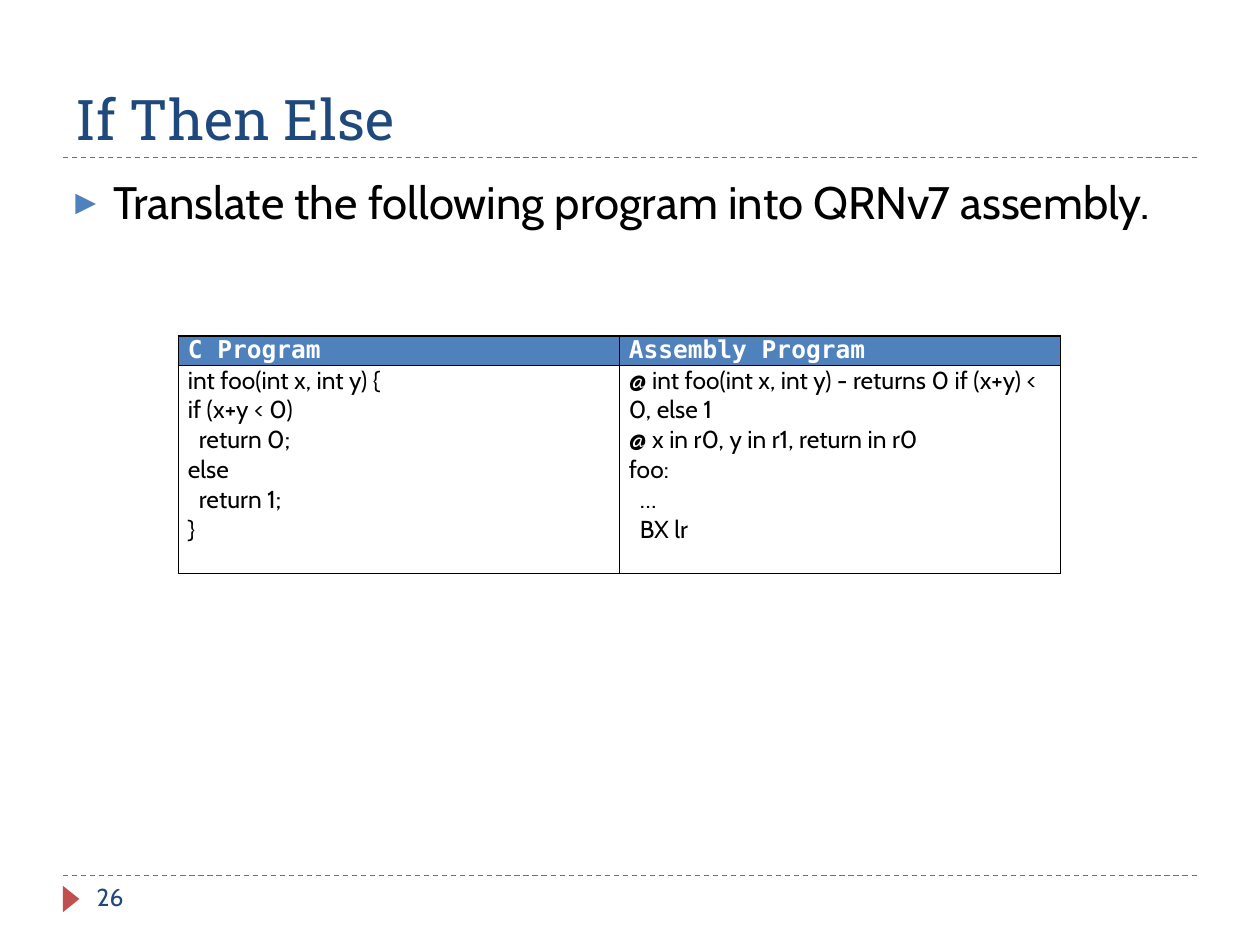
from lxml.etree import SubElement
from pptx import Presentation
from pptx.dml.color import RGBColor
from pptx.enum.dml import MSO_LINE
from pptx.enum.shapes import MSO_CONNECTOR, MSO_SHAPE
from pptx.enum.text import MSO_ANCHOR, PP_ALIGN
from pptx.oxml.ns import qn
from pptx.util import Pt

NAVY = RGBColor(0x1F, 0x49, 0x7D)
BLUE = RGBColor(0x4F, 0x81, 0xBD)
RED = RGBColor(0xC0, 0x50, 0x4D)
BLACK = RGBColor(0, 0, 0)
WHITE = RGBColor(255, 255, 255)

MARGIN, CONTENT_WIDTH = 36, 648
CODE_INDENT = 6.3

TITLE_FONT = {"name": "Roboto Slab", "size": Pt(32)}
BODY_FONT = {"name": "Cabin", "size": Pt(26)}
NUMBER_FONT = {"name": "Cabin", "size": Pt(14)}
HEADER_FONT = {"name": "DejaVu Sans Mono", "size": Pt(14), "bold": True}
CODE_FONT = {"name": "Cabin", "size": Pt(14), "bold": False}

# Each code line is (indent level, text)
PROGRAMS = {
    "C Program": [
        (0, "int foo(int x, int y) {"),
        (0, "if (x+y < 0)"),
        (1, "return 0;"),
        (0, "else"),
        (1, "return 1;"),
        (0, "}"),
    ],
    "Assembly Program": [
        (0, "@ int foo(int x, int y) - returns 0 if (x+y) < 0, else 1"),
        (0, "@ x in r0, y in r1, return in r0"),
        (0, "foo:"),
        (1, "…"),
        (1, "BX lr"),
    ],
}


def write(paragraph, text, font_format, color):
    run = paragraph.add_run()
    run.text = text
    for attribute, value in font_format.items():
        setattr(run.font, attribute, value)
    run.font.color.rgb = color


def add_text(slide, box, text, font_format, color, anchor=MSO_ANCHOR.TOP):
    frame = slide.shapes.add_textbox(*map(Pt, box)).text_frame
    frame.word_wrap = True
    frame.vertical_anchor = anchor
    write(frame.paragraphs[0], text, font_format, color)
    return frame.paragraphs[0]


def add_bullet(paragraph):
    paragraph.space_before = Pt(6)
    properties = paragraph._p.get_or_add_pPr()
    properties.set("marL", str(Pt(21.6)))
    properties.set("indent", str(-Pt(21.6)))
    bullet_color = SubElement(properties, qn("a:buClr"))
    SubElement(bullet_color, qn("a:srgbClr"), val=str(BLUE))
    SubElement(properties, qn("a:buSzPct"), val="76000")
    SubElement(properties, qn("a:buFont"), typeface="DejaVu Sans Mono")
    SubElement(properties, qn("a:buChar"), char="▶")


def add_rule(slide, y):
    rule = slide.shapes.add_connector(
        MSO_CONNECTOR.STRAIGHT, Pt(MARGIN), Pt(y), Pt(MARGIN + CONTENT_WIDTH), Pt(y))
    rule.line.color.rgb = RED
    rule.line.width = Pt(0.75)
    rule.line.dash_style = MSO_LINE.DASH
    SubElement(rule._element.spPr, qn("a:effectLst"))


def add_page_marker(slide):
    marker = slide.shapes.add_shape(
        MSO_SHAPE.ISOSCELES_TRIANGLE, Pt(33.1), Pt(509), Pt(15.1), Pt(9.4))
    marker.rotation = 90
    marker.shadow.inherit = False
    marker.fill.solid()
    marker.fill.fore_color.rgb = RED
    marker.line.fill.background()


def style_cell(cell, fill=None):
    cell.margin_left = cell.margin_right = Pt(5.4)
    cell.margin_top = cell.margin_bottom = 0
    properties = cell._tc.get_or_add_tcPr()
    for side in ("lnL", "lnR", "lnT", "lnB"):
        border = SubElement(properties, qn(f"a:{side}"), w=str(Pt(1)))
        border_fill = SubElement(border, qn("a:solidFill"))
        SubElement(border_fill, qn("a:srgbClr"), val=str(BLACK))
    if fill is None:
        cell.fill.background()
    else:
        cell.fill.solid()
        cell.fill.fore_color.rgb = fill


def add_program_table(slide):
    programs = slide.shapes.add_table(
        2, len(PROGRAMS), Pt(102), Pt(192), Pt(504), Pt(136)).table
    programs.rows[0].height, programs.rows[1].height = Pt(16.5), Pt(119)
    for column, (heading, code) in enumerate(PROGRAMS.items()):
        header_cell, code_cell = (programs.cell(row, column) for row in (0, 1))
        style_cell(header_cell, BLUE)
        style_cell(code_cell)
        header = header_cell.text_frame.paragraphs[0]
        header.alignment = PP_ALIGN.JUSTIFY
        write(header, heading, HEADER_FONT, WHITE)

        frame = code_cell.text_frame
        for number, (level, text) in enumerate(code):
            line = frame.add_paragraph() if number else frame.paragraphs[0]
            line._p.get_or_add_pPr().set("marL", str(Pt(level * CODE_INDENT)))
            write(line, text, CODE_FONT, BLACK)


def main():
    deck = Presentation()
    deck.slide_width, deck.slide_height = Pt(720), Pt(540)
    slide = deck.slides.add_slide(deck.slide_layouts[6])

    # Rules and page marker
    for y in (500.4, 90):
        add_rule(slide, y)
    add_page_marker(slide)

    # Title, page number and task
    add_text(slide, (MARGIN, 12, CONTENT_WIDTH, 78), "If Then Else",
             TITLE_FONT, NAVY, MSO_ANCHOR.BOTTOM)
    add_text(slide, (48.2, 500.4, 156, 28.8), "26", NUMBER_FONT, NAVY)
    task = add_text(slide, (MARGIN, 96, CONTENT_WIDTH, 389),
                    "Translate the following program into QRNv7 assembly.",
                    BODY_FONT, BLACK)
    add_bullet(task)

    # Program comparison
    add_program_table(slide)
    deck.save("out.pptx")


if __name__ == "__main__":
    main()
